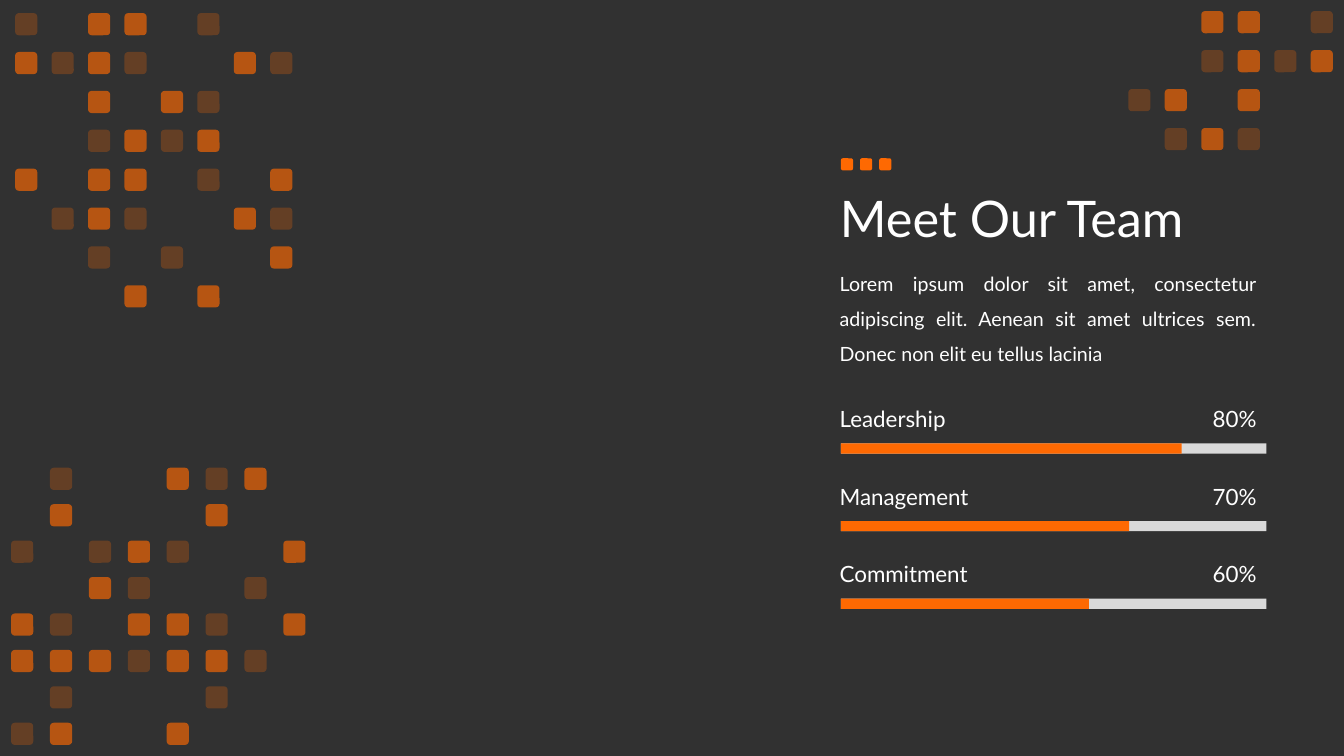
from dataclasses import dataclass

from lxml.etree import SubElement
from pptx import Presentation
from pptx.dml.color import RGBColor
from pptx.enum.shapes import MSO_SHAPE
from pptx.enum.text import MSO_ANCHOR, PP_ALIGN
from pptx.oxml.ns import qn
from pptx.shapes.base import BaseShape
from pptx.slide import Slide
from pptx.text.text import TextFrame
from pptx.util import Inches, Pt

DARK = RGBColor(0x31, 0x31, 0x31)
ORANGE = RGBColor(0xFE, 0x69, 0x02)
GREY = RGBColor(0xD9, 0xD9, 0xD9)
WHITE = RGBColor(0xFF, 0xFF, 0xFF)
FONT = "Lato"

# Opacity in percent of each tile mark: bright, dim, solid
ALPHA = {"B": 65, "d": 25, "S": 100}

LEFT = 8.23
WIDTH = 4.33
BAR_LEFT = 8.34
BAR_WIDTH = 4.22
SKILL_TOP = 3.97
SKILL_STEP = 0.77


@dataclass
class Patch:
    """A grid of tiles: corners of the first and last cell, and its rows."""
    left: float
    top: float
    right: float
    bottom: float
    side: float
    rows: list[str]


@dataclass
class Skill:
    name: str
    score: str
    length: float


PATCHES = [
    Patch(0.15, 0.13, 2.68, 2.83, 0.22, [
        "d.BB.d..",
        "BdBd..Bd",
        "..B.Bd..",
        "..dBdB..",
        "B.BB.d.B",
        ".dBd..Bd",
        "..d.d..B",
        "...B.B..",
    ]),
    Patch(0.11, 4.64, 2.81, 7.17, 0.22, [
        ".d..BdB.",
        ".B...B..",
        "d.dBd..B",
        "..Bd..d.",
        "Bd.BBd.B",
        "BBBdBBd.",
        ".d...d..",
        "dB..B...",
    ]),
    Patch(11.19, 0.11, 13, 1.27, 0.22, [
        "..BB.d",
        "..dBdB",
        "dB.B..",
        ".dBd..",
    ]),
    Patch(8.34, 1.57, 8.72, 1.57, 0.12, ["SSS"]),
]

SKILLS = [
    Skill("Leadership", "80%", 3.38),
    Skill("Management", "70%", 2.86),
    Skill("Commitment", "60%", 2.46),
]


def paint(shape: BaseShape, color: RGBColor, alpha: int = 100) -> None:
    shape.shadow.inherit = False
    shape.line.fill.background()
    shape.fill.solid()
    shape.fill.fore_color.rgb = color
    if alpha < 100:
        tint = shape.fill._xPr.find(qn("a:solidFill"))[0]
        SubElement(tint, qn("a:alpha")).set("val", str(alpha * 1000))


def draw_patch(slide: Slide, patch: Patch) -> None:
    group = slide.shapes.add_group_shape()
    step_x = (patch.right - patch.left) / (len(patch.rows[0]) - 1)
    step_y = (patch.bottom - patch.top) / max(len(patch.rows) - 1, 1)
    side = Inches(patch.side)
    for row, marks in enumerate(patch.rows):
        for col, mark in enumerate(marks):
            if mark in ALPHA:
                tile = group.shapes.add_shape(
                    MSO_SHAPE.ROUNDED_RECTANGLE,
                    Inches(patch.left + col * step_x),
                    Inches(patch.top + row * step_y), side, side)
                paint(tile, ORANGE, ALPHA[mark])


def write(frame: TextFrame, text: str, size: int, align: PP_ALIGN,
          anchor: MSO_ANCHOR, spacing: float = 1.0) -> None:
    frame.word_wrap = True
    frame.vertical_anchor = anchor
    line = frame.paragraphs[0]
    line.text = text
    line.alignment = align
    line.line_spacing = spacing
    line.font.name = FONT
    line.font.size = Pt(size)
    line.font.color.rgb = WHITE


def add_frame(slide: Slide, left: float, top: float, width: float,
              height: float) -> TextFrame:
    box = slide.shapes.add_textbox(
        Inches(left), Inches(top), Inches(width), Inches(height))
    return box.text_frame


def draw_bar(slide: Slide, top: float, width: float, color: RGBColor) -> None:
    bar = slide.shapes.add_shape(
        MSO_SHAPE.RECTANGLE, Inches(BAR_LEFT), Inches(top),
        Inches(width), Inches(0.1))
    paint(bar, color)


def draw_skill(slide: Slide, skill: Skill, top: float) -> None:
    write(add_frame(slide, LEFT, top, 2.07, 0.37), skill.name, 16,
          PP_ALIGN.LEFT, MSO_ANCHOR.MIDDLE)
    write(add_frame(slide, 11.5, top, 1.06, 0.37), skill.score, 16,
          PP_ALIGN.RIGHT, MSO_ANCHOR.MIDDLE)
    draw_bar(slide, top + 0.43, BAR_WIDTH, GREY)
    draw_bar(slide, top + 0.43, skill.length, ORANGE)


def main() -> None:
    deck = Presentation()
    deck.slide_width = Inches(13.33)
    deck.slide_height = Inches(7.5)
    slide = deck.slides.add_slide(deck.slide_layouts[5])
    slide.background.fill.solid()
    slide.background.fill.fore_color.rgb = DARK

    # Title
    title = slide.shapes.title
    title.left, title.top = Inches(LEFT), Inches(1.47)
    title.width, title.height = Inches(WIDTH), Inches(1.45)
    write(title.text_frame, "Meet Our Team", 36, PP_ALIGN.LEFT,
          MSO_ANCHOR.MIDDLE, 0.9)

    # Tile patterns
    for patch in PATCHES:
        draw_patch(slide, patch)

    # Intro text
    write(add_frame(slide, LEFT, 2.53, WIDTH, 1.11),
          "Lorem ipsum dolor sit amet, consectetur adipiscing elit. "
          "Aenean sit amet ultrices sem. Donec non elit eu tellus lacinia",
          14, PP_ALIGN.JUSTIFY, MSO_ANCHOR.TOP, 1.5)

    # Skill bars
    for index, skill in enumerate(SKILLS):
        draw_skill(slide, skill, SKILL_TOP + index * SKILL_STEP)

    deck.save("out.pptx")


if __name__ == "__main__":
    main()
